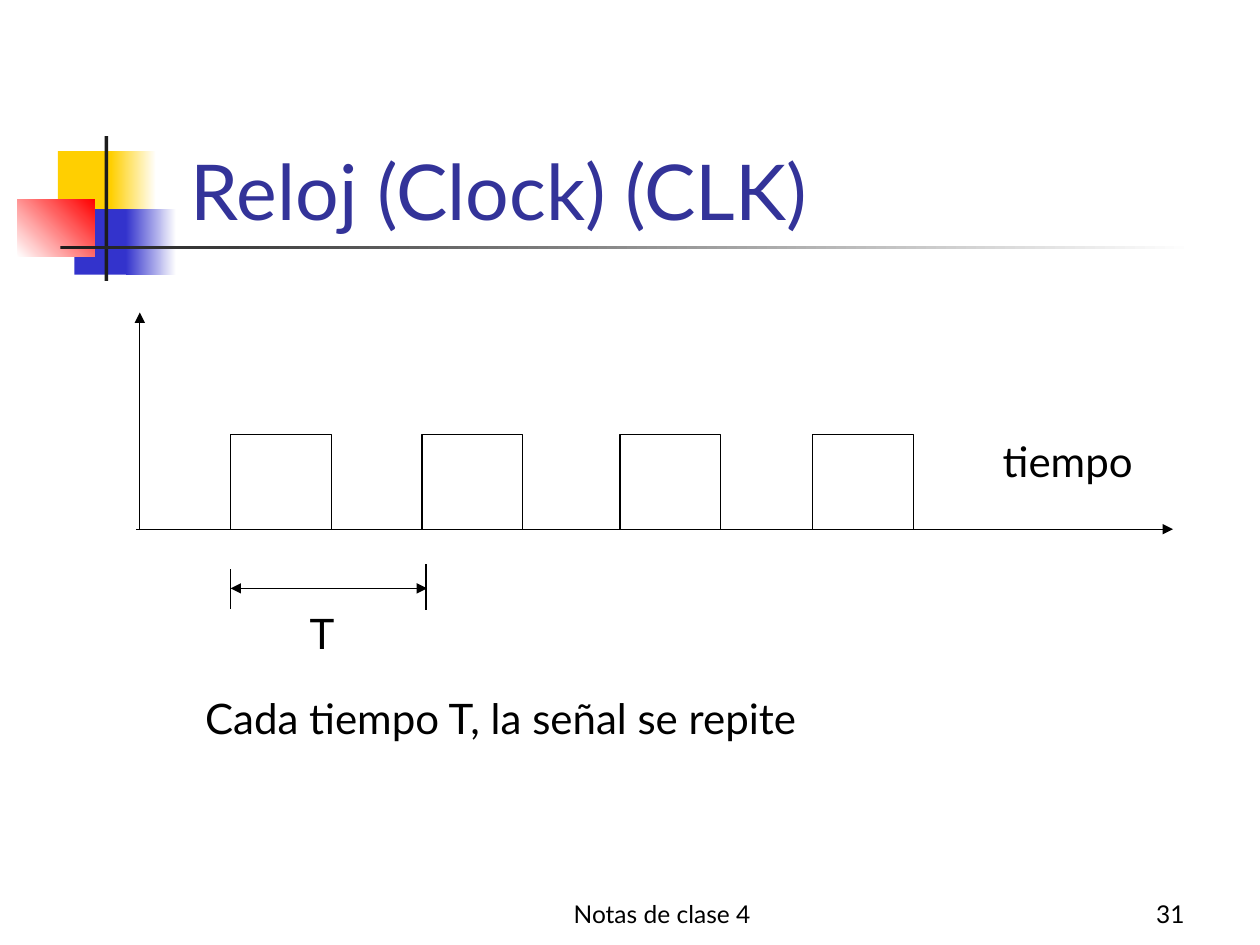
from lxml import etree
from pptx import Presentation
from pptx.dml.color import RGBColor
from pptx.enum.shapes import MSO_CONNECTOR, MSO_SHAPE
from pptx.enum.text import MSO_ANCHOR, PP_ALIGN
from pptx.oxml.ns import qn
from pptx.util import Inches, Pt

RECTANGLE = MSO_SHAPE.RECTANGLE
STRAIGHT = MSO_CONNECTOR.STRAIGHT
TOP, BOTTOM = MSO_ANCHOR.TOP, MSO_ANCHOR.BOTTOM
LEFT, CENTER, RIGHT = PP_ALIGN.LEFT, PP_ALIGN.CENTER, PP_ALIGN.RIGHT

FONT = "Lato"
COLORS = {
    "yellow": "FFCF01",
    "blue": "3333CC",
    "red": "FF0000",
    "dark": "1C1C1C",
    "white": "FFFFFF",
    "title": "333399",
    "black": "000000",
}
BASELINE = 4.2
PULSE_WIDTH, PULSE_HEIGHT = 0.8, 0.75
PULSE_LEFTS = (1.83, 3.35, 4.92, 6.45)


def color(name):
    """Return the named colour."""
    return RGBColor.from_string(COLORS[name])


def add_rectangle(page, left, top, width, height):
    """Add a plain rectangle without shadow."""
    box = page.shapes.add_shape(
        RECTANGLE, Inches(left), Inches(top), Inches(width), Inches(height)
    )
    box.shadow.inherit = False
    return box


def add_block(page, bounds, start, end=None, angle=0):
    """Add an ornament block with a solid fill or a two-colour gradient."""
    block = add_rectangle(page, *bounds)
    block.line.fill.background()
    if end is None:
        block.fill.solid()
        block.fill.fore_color.rgb = color(start)
        return
    block.fill.gradient()
    block.fill.gradient_angle = angle
    for stop, name, position in zip(block.fill.gradient_stops, (start, end), (0, 1)):
        stop.color.rgb = color(name)
        stop.position = position


def add_pulse(page, left):
    """Add one outlined clock pulse standing on the time axis."""
    pulse = add_rectangle(
        page, left, BASELINE - PULSE_HEIGHT, PULSE_WIDTH, PULSE_HEIGHT
    )
    pulse.fill.background()
    pulse.line.color.rgb = color("black")
    pulse.line.width = Pt(0.75)


def add_line(page, start, end, arrows=()):
    """Add a thin black line with triangles at the given ends."""
    line = page.shapes.add_connector(STRAIGHT, *map(Inches, start + end))
    line.line.color.rgb = color("black")
    line.line.width = Pt(0.75)
    outline = line.line._get_or_add_ln()
    for arrow in arrows:
        etree.SubElement(outline, qn(f"a:{arrow}"), type="triangle")
    etree.SubElement(line._element.spPr, qn("a:effectLst"))


def add_text(page, bounds, text, size=24, name="black", align=LEFT, anchor=TOP):
    """Add a wrapped one-paragraph text box."""
    box = page.shapes.add_textbox(*map(Inches, bounds))
    frame = box.text_frame
    frame.word_wrap = True
    frame.vertical_anchor = anchor
    frame.text = text
    para = frame.paragraphs[0]
    para.alignment = align
    span = para.runs[0]
    span.font.name = FONT
    span.font.size = Pt(size)
    span.font.color.rgb = color(name)


def add_ornament(page):
    """Add the coloured blocks and rules beside the title."""
    add_block(page, (0.46, 1.2, 0.48, 0.52), "yellow")
    add_block(page, (0.88, 1.2, 0.36, 0.52), "yellow", "white")
    add_block(page, (0.59, 1.66, 0.46, 0.52), "blue")
    add_block(page, (1, 1.66, 0.4, 0.52), "blue", "white")
    add_block(page, (0.14, 1.58, 0.61, 0.46), "white", "red", angle=45)
    add_block(page, (0.83, 1.08, 0.03, 1.15), "dark")
    add_block(page, (0.48, 1.95, 9, 0.03), "dark", "white")


def add_clock_diagram(page):
    """Add the axes, the pulses and the period mark."""
    for left in PULSE_LEFTS:
        add_pulse(page, left)
    add_line(page, (1.08, BASELINE), (9.31, BASELINE), ("tailEnd",))
    add_line(page, (1.11, BASELINE), (1.11, 2.48), ("tailEnd",))
    add_line(page, (1.83, 4.52), (1.83, 4.83))
    add_line(page, (1.83, 4.67), (3.39, 4.67), ("headEnd", "tailEnd"))
    add_line(page, (3.38, 4.48), (3.38, 4.84))
    add_text(page, (7.86, 3.41, 1.83, 0.5), "tiempo")
    add_text(page, (2.36, 4.77, 0.5, 0.5), "T")


def main():
    """Build and save the slide."""
    deck = Presentation()
    deck.slide_width, deck.slide_height = Inches(10), Inches(7.5)
    page = deck.slides.add_slide(deck.slide_layouts[6])
    add_ornament(page)
    add_text(page, (3.67, 6.92, 3.17, 0.5), "Notas de clase 4", 14,
             align=CENTER, anchor=BOTTOM)
    add_text(page, (7.42, 6.92, 2.08, 0.5), "31", 14, align=RIGHT, anchor=BOTTOM)
    add_text(page, (1.26, 0.67, 8.52, 1.25), " Reloj (Clock) (CLK)", 44, "title",
             anchor=BOTTOM)
    add_clock_diagram(page)
    add_text(page, (1.53, 5.45, 6.83, 0.5), "Cada tiempo T, la señal se repite")
    deck.save("out.pptx")


if __name__ == "__main__":
    main()
